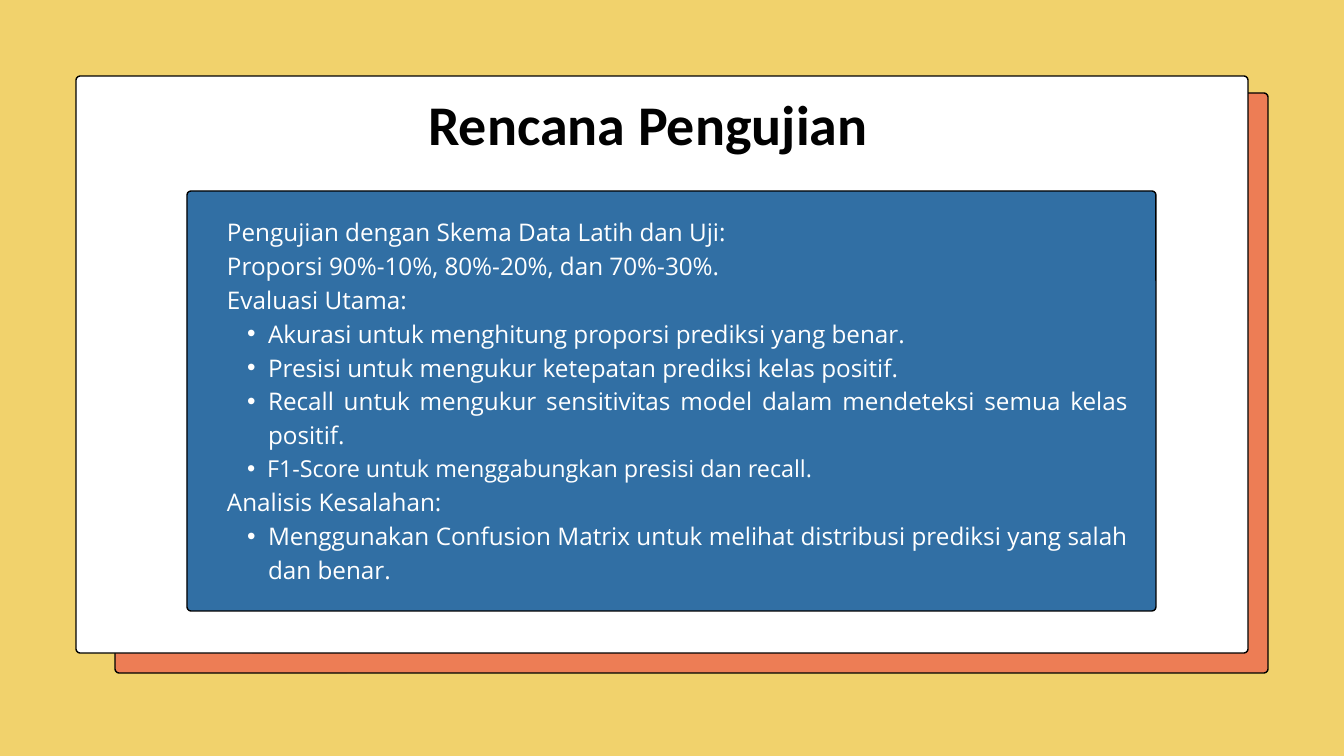
from typing import NamedTuple

import lxml.etree
import pptx
import pptx.dml.color
import pptx.enum.shapes
import pptx.enum.text
import pptx.oxml.ns
import pptx.util

EMU_PER_PX = 914400 / 67.2
CORNER = 4

YELLOW = pptx.dml.color.RGBColor(0xF1, 0xD2, 0x6C)
ORANGE = pptx.dml.color.RGBColor(0xED, 0x7D, 0x55)
BLUE = pptx.dml.color.RGBColor(0x31, 0x6F, 0xA4)
WHITE = pptx.dml.color.RGBColor(0xFF, 0xFF, 0xFF)
BLACK = pptx.dml.color.RGBColor(0x00, 0x00, 0x00)
TITLE_BLACK = pptx.dml.color.RGBColor(0x01, 0x01, 0x01)


class Area(NamedTuple):
    left: int
    top: int
    width: int
    height: int


class Card(NamedTuple):
    area: Area
    color: pptx.dml.color.RGBColor


class Line(NamedTuple):
    text: str
    bulleted: bool = False
    size: int = 26
    margin: int = 41
    hanging: int = 21


CARDS = [
    Card(Area(115, 93, 1153, 580), ORANGE),
    Card(Area(76, 76, 1172, 577), WHITE),
    Card(Area(187, 191, 969, 420), BLUE),
]
TITLE_AREA = Area(227, 89, 842, 81)
BODY_AREA = Area(227, 212, 902, 401)
LINES = [
    Line("Pengujian dengan Skema Data Latih dan Uji:"),
    Line("Proporsi 90%-10%, 80%-20%, dan 70%-30%."),
    Line("Evaluasi Utama:"),
    Line("Akurasi untuk menghitung proporsi prediksi yang benar.", True),
    Line("Presisi untuk mengukur ketepatan prediksi kelas positif.", True),
    Line("Recall untuk mengukur sensitivitas model dalam mendeteksi semua kelas positif.", True),
    Line("F1-Score untuk menggabungkan presisi dan recall.", True, 25, 40, 20),
    Line("Analisis Kesalahan:"),
    Line("Menggunakan Confusion Matrix untuk melihat distribusi prediksi yang salah dan benar.", True),
]


def px(length: int) -> pptx.util.Emu:
    return pptx.util.Emu(round(length * EMU_PER_PX))


def draw_card(page, card: Card) -> None:
    shape = page.shapes.add_shape(
        pptx.enum.shapes.MSO_SHAPE.ROUNDED_RECTANGLE, *map(px, card.area))
    shape.adjustments[0] = CORNER / card.area.height
    shape.shadow.inherit = False
    shape.fill.solid()
    shape.fill.fore_color.rgb = card.color
    shape.line.color.rgb = BLACK
    shape.line.width = pptx.util.Pt(1.5)


def place_text_box(box, area: Area):
    """Move a placeholder in front of the cards and clear its inner margins."""
    box.left, box.top, box.width, box.height = map(px, area)
    box.element.getparent().append(box.element)
    frame = box.text_frame
    frame.margin_left = frame.margin_top = frame.margin_right = frame.margin_bottom = 0
    frame.vertical_anchor = pptx.enum.text.MSO_ANCHOR.TOP
    frame.auto_size = pptx.enum.text.MSO_AUTO_SIZE.NONE
    frame.word_wrap = True
    return frame


def format_paragraph(para, font: str, size: int, spacing: float, color, align) -> None:
    para.alignment = align
    para.line_spacing = pptx.util.Pt(spacing)
    para.space_before = pptx.util.Pt(0)
    para.font.name = font
    para.font.size = pptx.util.Pt(size)
    para.font.color.rgb = color


def set_bullet(para, line: Line) -> None:
    properties = para._p.get_or_add_pPr()
    margin, hanging = (line.margin, line.hanging) if line.bulleted else (0, 0)
    properties.set("marL", str(px(margin)))
    properties.set("indent", str(px(-hanging)))
    if line.bulleted:
        para.level = 1
        bullet = lxml.etree.SubElement(properties, pptx.oxml.ns.qn("a:buChar"))
        bullet.set("char", "•")
    else:
        lxml.etree.SubElement(properties, pptx.oxml.ns.qn("a:buNone"))


def main() -> None:
    deck = pptx.Presentation()
    deck.slide_width, deck.slide_height = px(1344), px(756)
    page = deck.slides.add_slide(deck.slide_layouts[1])
    page.background.fill.solid()
    page.background.fill.fore_color.rgb = YELLOW

    # Stacked cards, back to front
    for card in CARDS:
        draw_card(page, card)

    # Title
    title = place_text_box(page.shapes.title, TITLE_AREA)
    title.text = "Rencana Pengujian"
    heading = title.paragraphs[0]
    format_paragraph(heading, "Calibri", 60, 72, TITLE_BLACK,
                     pptx.enum.text.PP_ALIGN.CENTER)
    heading.font.bold = True

    # Test plan
    body = place_text_box(page.placeholders[1], BODY_AREA)
    body.text = "\n".join(line.text for line in LINES)
    for para, line in zip(body.paragraphs, LINES):
        set_bullet(para, line)
        format_paragraph(para, "Open Sans", line.size, line.size * 1.4, WHITE,
                         pptx.enum.text.PP_ALIGN.JUSTIFY)

    deck.save("out.pptx")


if __name__ == "__main__":
    main()
